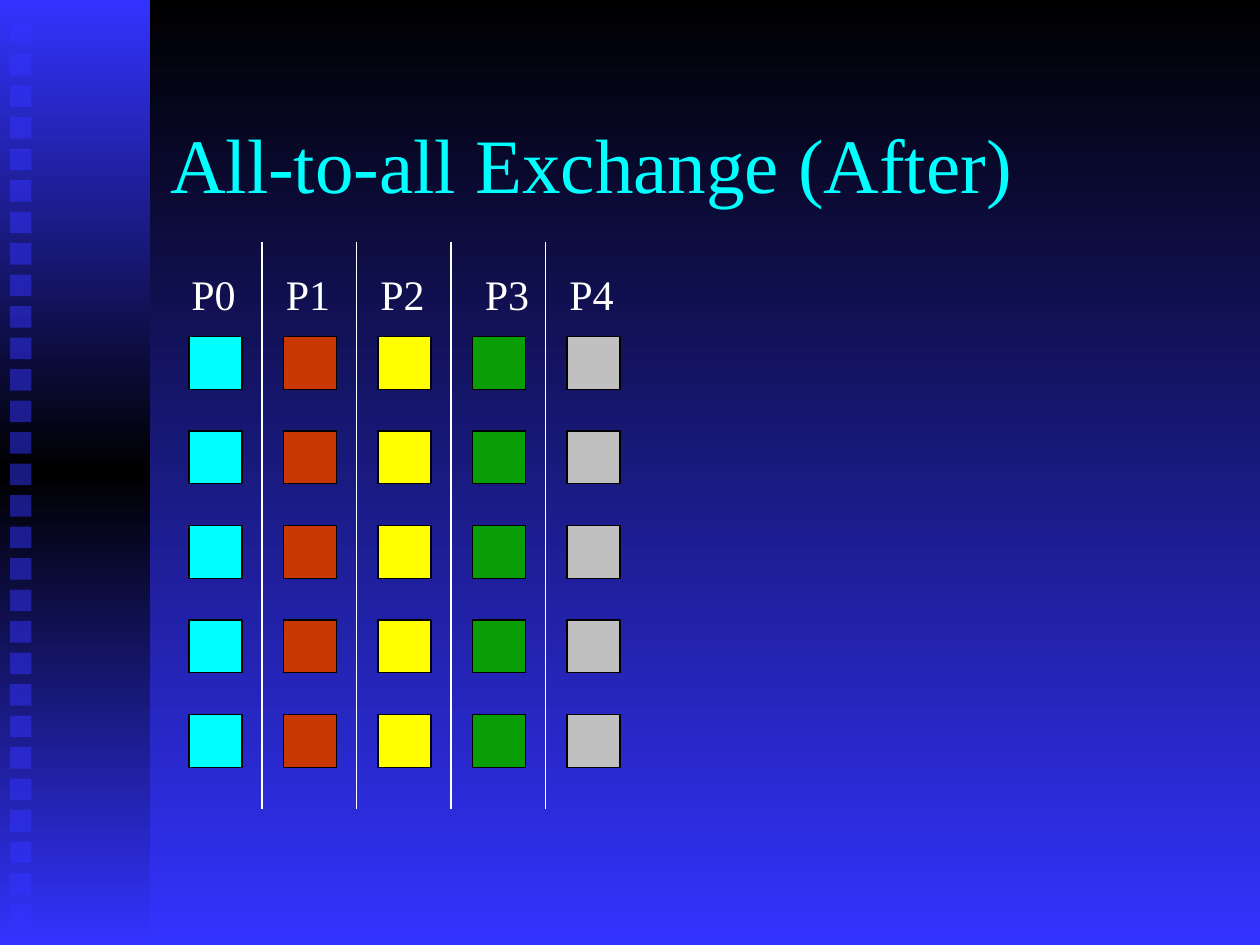
"""Build the slide showing the state after an all-to-all exchange."""
import copy

import lxml.etree
import pptx
import pptx.dml.color
import pptx.enum.shapes
import pptx.enum.text
import pptx.oxml.ns
import pptx.util

Inches = pptx.util.Inches
Pt = pptx.util.Pt
RGBColor = pptx.dml.color.RGBColor
qn = pptx.oxml.ns.qn
RECTANGLE = pptx.enum.shapes.MSO_SHAPE.RECTANGLE

BLACK = RGBColor(0x00, 0x00, 0x00)
WHITE = RGBColor(0xFF, 0xFF, 0xFF)
BLUE = RGBColor(0x33, 0x33, 0xFF)
CYAN = RGBColor(0x00, 0xFF, 0xFF)
RUST = RGBColor(0xC9, 0x37, 0x03)
YELLOW = RGBColor(0xFF, 0xFF, 0x00)
GREEN = RGBColor(0x0A, 0x9E, 0x06)
SILVER = RGBColor(0xC0, 0xC0, 0xC0)
FONT = "Times New Roman"
PITCH = 0.75
BLOCK_SIZE = 0.42


def add_rectangle(left, top, width, height):
    rectangle = slide.shapes.add_shape(
        RECTANGLE, Inches(left), Inches(top), Inches(width), Inches(height))
    rectangle.shadow.inherit = False
    return rectangle


def format_text(paragraph, size, color):
    paragraph.alignment = pptx.enum.text.PP_ALIGN.LEFT
    paragraph.font.name = FONT
    paragraph.font.size = Pt(size)
    paragraph.font.color.rgb = color


presentation = pptx.Presentation()
presentation.slide_width = Inches(10)
presentation.slide_height = Inches(7.5)
slide = presentation.slides.add_slide(presentation.slide_layouts[5])

backdrop = slide.background.fill
backdrop.gradient()
backdrop.gradient_angle = 270
for stop, color in zip(backdrop.gradient_stops, (BLACK, BLUE)):
    stop.color.rgb = color

side_band = add_rectangle(0, 0, 1.19, 7.5)
side_band.line.fill.background()
side_band.fill.gradient()
side_band.fill.gradient_angle = 270
stop_list = side_band._element.spPr.find(".//" + qn("a:gsLst"))
stop_list.insert(1, copy.deepcopy(stop_list[0]))
for stop, position, color in zip(
        side_band.fill.gradient_stops, (0, 0.5, 1), (BLUE, BLACK, BLUE)):
    stop.position = position
    stop.color.rgb = color

for index in range(29):
    band_mark = add_rectangle(0.08, 0.18 + 0.25 * index, 0.17, 0.17)
    band_mark.line.fill.background()
    band_mark.fill.solid()
    band_mark.fill.fore_color.rgb = BLUE
    mark_color = band_mark._element.spPr.find(".//" + qn("a:srgbClr"))
    lxml.etree.SubElement(mark_color, qn("a:alpha"), val="50000")

title = slide.shapes.title
title.left, title.top = Inches(1.25), Inches(0.67)
title.width, title.height = Inches(8.5), Inches(1.25)
title.text_frame.text = "All-to-all Exchange (After)"
title.text_frame.auto_size = pptx.enum.text.MSO_AUTO_SIZE.NONE
title.text_frame.vertical_anchor = pptx.enum.text.MSO_ANCHOR.MIDDLE
format_text(title.text_frame.paragraphs[0], 44, CYAN)

processes = [
    ("P0", 1.42, CYAN),
    ("P1", 2.17, RUST),
    ("P2", 2.92, YELLOW),
    ("P3", 3.75, GREEN),
    ("P4", 4.42, SILVER),
]
for column, (name, label_left, color) in enumerate(processes):
    for row in range(5):
        block = add_rectangle(
            1.5 + PITCH * column, 2.67 + PITCH * row, BLOCK_SIZE, BLOCK_SIZE)
        block.fill.solid()
        block.fill.fore_color.rgb = color
        block.line.color.rgb = BLACK
        block.line.width = Pt(0.75)

    label = slide.shapes.add_textbox(
        Inches(label_left), Inches(2.08), Inches(0.55), Inches(0.5))
    label.text_frame.text = name
    label.text_frame.word_wrap = False
    label.text_frame.auto_size = pptx.enum.text.MSO_AUTO_SIZE.SHAPE_TO_FIT_TEXT
    format_text(label.text_frame.paragraphs[0], 24, WHITE)

for index in range(len(processes) - 1):
    divider_x = Inches(2.08 + PITCH * index)
    divider = slide.shapes.add_connector(
        pptx.enum.shapes.MSO_CONNECTOR.STRAIGHT,
        divider_x, Inches(1.92), divider_x, Inches(6.42))
    divider.line.color.rgb = WHITE
    divider.line.width = Pt(0.75)
    lxml.etree.SubElement(divider._element.spPr, qn("a:effectLst"))

presentation.save("out.pptx")
